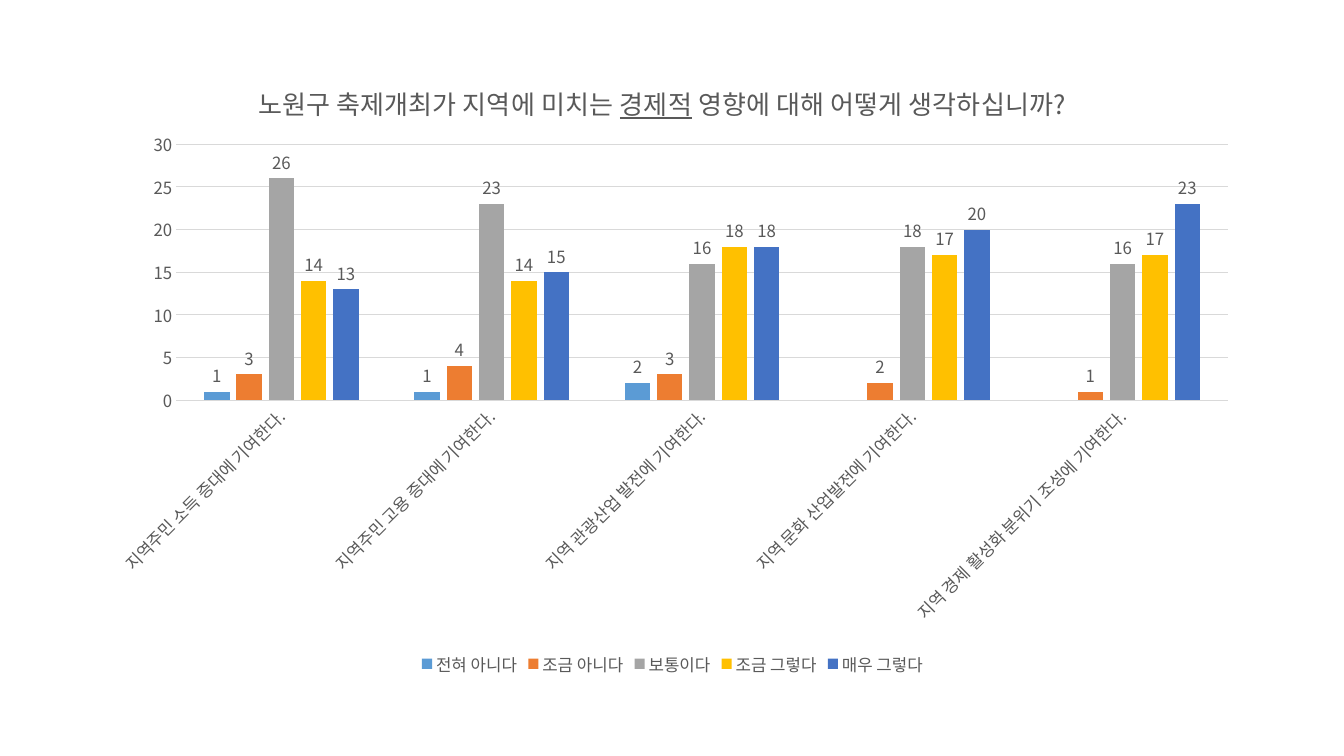
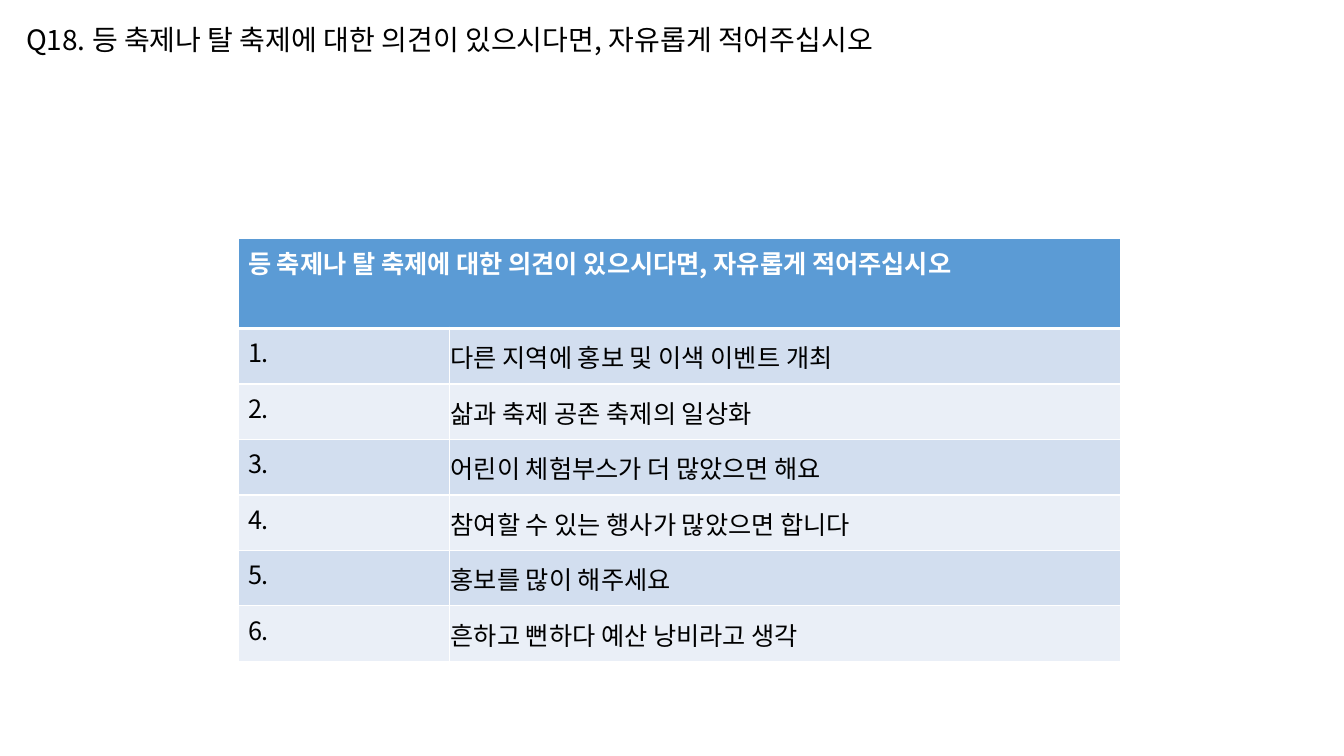
import pptx
import pptx.chart.data
import pptx.dml.color
import pptx.enum.chart
import pptx.enum.text
import pptx.oxml
import pptx.oxml.ns
import pptx.util
from pptx.util import Inches

FONT = "Noto Sans CJK KR"
COLORS = {
    "black": "000000", "white": "FFFFFF", "label": "595959", "grid": "D9D9D9",
    "header": "5B9BD5", "odd row": "D2DEEF", "even row": "EAEFF7",
}
RESPONSES = [
    ("전혀 아니다", "5B9BD5", (1, 1, 2, None, None)),
    ("조금 아니다", "ED7D31", (3, 4, 3, 2, 1)),
    ("보통이다", "A5A5A5", (26, 23, 16, 18, 16)),
    ("조금 그렇다", "FFC000", (14, 14, 18, 17, 17)),
    ("매우 그렇다", "4472C4", (13, 15, 18, 20, 23)),
]
STATEMENTS = [
    "지역주민 소득 증대에 기여한다.",
    "지역주민 고용 증대에 기여한다.",
    "지역 관광산업 발전에 기여한다.",
    "지역 문화 산업발전에 기여한다.",
    "지역 경제 활성화 분위기 조성에 기여한다.",
]
IMPACT_QUESTION = [
    ("노원구 축제개최가 지역에 미치는 ", False),
    ("경제적", True),
    (" 영향에 대해 어떻게 생각하십니까?", False),
]
OPINION_QUESTION = "등 축제나 탈 축제에 대한 의견이 있으시다면, 자유롭게 적어주십시오"
OPINIONS = [
    "다른 지역에 홍보 및 이색 이벤트 개최",
    "삶과 축제 공존 축제의 일상화",
    "어린이 체험부스가 더 많았으면 해요",
    "참여할 수 있는 행사가 많았으면 합니다",
    "홍보를 많이 해주세요",
    "흔하고 뻔하다 예산 낭비라고 생각",
]


def rgb(hex_color):
    return pptx.dml.color.RGBColor.from_string(hex_color)


def apply(target, formats):
    for name, value in formats.items():
        setattr(target, name, value)


def set_font(font, size, color, **formats):
    apply(font, {"name": FONT, "size": pptx.util.Pt(size), **formats})
    font.color.rgb = rgb(COLORS[color])


def add_run(paragraph, text, size, color, **formats):
    """Add a run that uses the same font for Latin and Korean letters."""
    run = paragraph.add_run()
    run.text = text
    set_font(run.font, size, color, **formats)
    latin = run._r.get_or_add_rPr().find(pptx.oxml.ns.qn("a:latin"))
    latin.addnext(pptx.oxml.parse_xml(
        f'<a:ea {pptx.oxml.ns.nsdecls("a")} typeface="{FONT}"/>'))


def set_layout(element, index, target=None, **fractions):
    """Place a chart part by fractions of the chart area."""
    for old in element.findall(pptx.oxml.ns.qn("c:layout")):
        element.remove(old)
    settings = [("layoutTarget", target)] if target else []
    settings += [(f"{axis}Mode", "edge") for axis in "xy"]
    settings += list(fractions.items())
    children = "".join(f'<c:{tag} val="{value}"/>' for tag, value in settings)
    element.insert(index, pptx.oxml.parse_xml(
        f'<c:layout {pptx.oxml.ns.nsdecls("c")}>'
        f"<c:manualLayout>{children}</c:manualLayout></c:layout>"))


def style_line(line, color):
    line.color.rgb = rgb(COLORS[color])
    line.width = pptx.util.Pt(0.75)


def style_axes(chart):
    statements, counts = chart.category_axis, chart.value_axis
    for axis in (statements, counts):
        axis.major_tick_mark = pptx.enum.chart.XL_TICK_MARK.NONE
        set_font(axis.tick_labels.font, 12, "label")
    style_line(statements.format.line, "grid")
    body = statements._element.find(
        f'{pptx.oxml.ns.qn("c:txPr")}/{pptx.oxml.ns.qn("a:bodyPr")}')
    body.set("rot", str(-45 * 60000))
    apply(counts, {"minimum_scale": 0, "maximum_scale": 30, "major_unit": 5,
                   "has_major_gridlines": True})
    style_line(counts.major_gridlines.format.line, "grid")
    counts.format.line.fill.background()


def style_bars(plot):
    apply(plot, {"gap_width": 219, "overlap": -27, "vary_by_categories": False})
    for series, (_, color, _) in zip(plot.series, RESPONSES):
        series.format.fill.solid()
        series.format.fill.fore_color.rgb = rgb(color)
        labels = series.data_labels
        apply(labels, {
            "show_value": True,
            "position": pptx.enum.chart.XL_LABEL_POSITION.OUTSIDE_END,
        })
        set_font(labels.font, 12, "label")


def add_impact_chart(slide):
    survey = pptx.chart.data.CategoryChartData()
    survey.categories = STATEMENTS
    for name, _, counts in RESPONSES:
        survey.add_series(name, counts)
    chart = slide.shapes.add_chart(
        pptx.enum.chart.XL_CHART_TYPE.COLUMN_CLUSTERED,
        Inches(0.92), Inches(0.53), Inches(11.5), Inches(6.22), survey).chart
    set_font(chart.font, 10, "black")
    apply(chart, {"has_title": True, "has_legend": True})
    question = chart.chart_title.text_frame.paragraphs[0]
    for text, underline in IMPACT_QUESTION:
        add_run(question, text, 18.6, "label", bold=False, underline=underline)
    set_layout(chart.chart_title._element, 1, x=0.14, y=0.04)
    plot_area = chart._chartSpace.chart.plotArea
    set_layout(plot_area, 0, "inner", x=0.072, y=0.145, w=0.907, h=0.408)
    apply(chart.legend, {
        "position": pptx.enum.chart.XL_LEGEND_POSITION.BOTTOM,
        "include_in_layout": False,
    })
    set_font(chart.legend.font, 12, "label")
    style_axes(chart)
    style_bars(chart.plots[0])


def set_borders(cell, **widths):
    """Draw white borders, 1 pt unless a side (L, R, T, B) says otherwise."""
    properties = cell._tc.get_or_add_tcPr()
    for side in "LRTB":
        width = pptx.util.Pt(widths.get(side, 1))
        properties.append(pptx.oxml.parse_xml(
            f'<a:ln{side} {pptx.oxml.ns.nsdecls("a")} w="{width}"><a:solidFill>'
            f'<a:srgbClr val="{COLORS["white"]}"/></a:solidFill></a:ln{side}>'))


def fill_cell(cell, text, fill, color="black", bold=False, borders=None, **formats):
    set_borders(cell, **(borders or {}))
    cell.fill.solid()
    cell.fill.fore_color.rgb = rgb(COLORS[fill])
    apply(cell, formats)
    add_run(cell.text_frame.paragraphs[0], text, 18, color, bold=bold)


def add_opinion_table(slide):
    table = slide.shapes.add_table(
        len(OPINIONS) + 1, 2,
        Inches(2.36), Inches(2.37), Inches(8.75), Inches(4.21)).table
    for column, width in zip(table.columns, (2.1, 6.65)):
        column.width = Inches(width)
    for index, row in enumerate(table.rows):
        row.height = Inches(0.55 if index else 0.89)
    header = table.cell(0, 0)
    header.merge(table.cell(0, 1))
    fill_cell(header, OPINION_QUESTION, "header", "white", True, {"B": 3})
    set_borders(table.cell(0, 1), B=3)
    opinion_format = {
        "vertical_anchor": pptx.enum.text.MSO_ANCHOR.MIDDLE,
        "margin_left": Inches(0.01), "margin_top": Inches(0.01),
        "margin_right": Inches(0.01), "margin_bottom": 0,
    }
    for number, opinion in enumerate(OPINIONS, 1):
        fill = "odd row" if number % 2 else "even row"
        borders = {"T": 3} if number == 1 else None
        fill_cell(table.cell(number, 0), f"{number}.", fill, borders=borders)
        fill_cell(table.cell(number, 1), opinion, fill, borders=borders,
                  **opinion_format)


def add_question(slide, text):
    frame = slide.shapes.add_textbox(
        Inches(0.16), Inches(0.17), Inches(9.59), Inches(0.44)).text_frame
    apply(frame, {"word_wrap": False,
                  "auto_size": pptx.enum.text.MSO_AUTO_SIZE.SHAPE_TO_FIT_TEXT})
    add_run(frame.paragraphs[0], text, 20, "black")


def main():
    deck = pptx.Presentation()
    apply(deck, {"slide_width": Inches(13.33), "slide_height": Inches(7.5)})
    blank = deck.slide_layouts[6]
    add_impact_chart(deck.slides.add_slide(blank))
    opinions = deck.slides.add_slide(blank)
    add_opinion_table(opinions)
    add_question(opinions, f"Q18. {OPINION_QUESTION}")
    deck.save("out.pptx")


if __name__ == "__main__":
    main()
